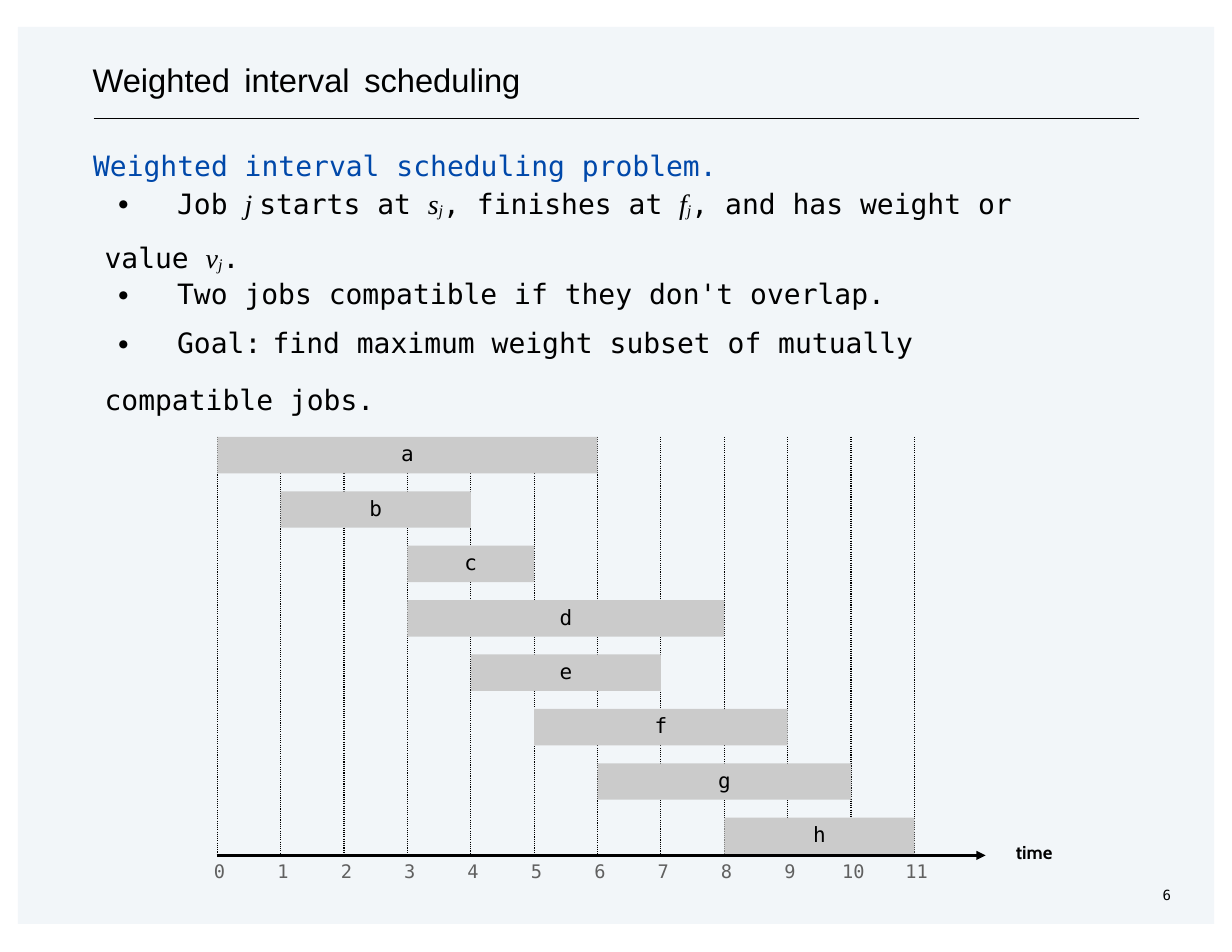
from pptx import Presentation
from pptx.dml.color import RGBColor
from pptx.enum.dml import MSO_LINE
from pptx.enum.shapes import MSO_CONNECTOR, MSO_SHAPE
from pptx.enum.text import MSO_ANCHOR, MSO_AUTO_SIZE, PP_ALIGN
from pptx.oxml.ns import qn
from pptx.util import Pt
from lxml import etree

RECT = MSO_SHAPE.RECTANGLE
LINE = MSO_CONNECTOR.STRAIGHT
DOTS = MSO_LINE.ROUND_DOT
TOP, MID = MSO_ANCHOR.TOP, MSO_ANCHOR.MIDDLE
LEFT, MITTE = PP_ALIGN.LEFT, PP_ALIGN.CENTER
FIXED = MSO_AUTO_SIZE.NONE

BLACK = RGBColor(0, 0, 0)
BLUE = RGBColor(0x00, 0x48, 0xAA)
NAVY = RGBColor(0x00, 0x54, 0x93)
GREY = RGBColor(0x60, 0x60, 0x60)
SILVER = RGBColor(0xCB, 0xCB, 0xCB)

MONO = "DejaVu Sans Mono"
SERIF = "Times New Roman"
SANS = "Arial"
CJK = "Noto Sans CJK JP"

# Time grid: unit width, row pitch and bar height
X0, Y0 = 139.7, 280.9
UNIT, PITCH, BAR = 40.74, 34.97, 23.4
LAST = 11
BASE = 549.9

# Job name: start and finish
JOBS = {"a": (0, 6), "b": (1, 4), "c": (3, 5), "d": (3, 8),
        "e": (4, 7), "f": (5, 9), "g": (6, 10), "h": (8, 11)}

# Title runs, with widened word gaps
TITLE = [("title", "Weighted"), ("gap", " "), ("title", "interval"),
         ("gap", " "), ("title", "scheduling")]

# Body paragraphs: line pitch, then runs as (style, text)
BODY = [
    (19.8, [("head", "Weighted interval scheduling problem.")]),
    (29.6, [("dot", "・"), ("text", "Job "), ("var", "j "),
            ("text", "starts at "), ("var", "s"), ("sub", "j"),
            ("text", ", finishes at "), ("var", "f"), ("sub", "j"),
            ("text", ", and has weight or value "),
            ("var", "v"), ("sub", "j"), ("text", ".")]),
    (28.6, [("low", "・"),
            ("text", "Two jobs compatible if they don't overlap.")]),
    (31.4, [("low", "・"),
            ("text", "Goal:\tfind maximum weight subset of "
                     "mutually compatible jobs.")]),
]

# Style: font, size, colour, italic, baseline in percent, tracking
STYLES = {
    "title": (SANS, 21, BLACK, False, 0, 0),
    "gap": (SANS, 21, BLACK, False, 0, 3.5),
    "head": (MONO, 18, BLUE, False, 0, 0),
    "text": (MONO, 18, BLACK, False, 0, 0),
    "var": (SERIF, 18, BLACK, True, 0, 0),
    "sub": (SERIF, 18, BLACK, True, -7, 0),
    "dot": (CJK, 42.8, BLACK, False, -7, 21.8),
    "low": (CJK, 42.8, BLACK, False, -9, 21.8),
}


def time_x(t):
    return X0 + UNIT * t


def row_y(row):
    return Y0 + PITCH * row


def set_font(font, name, size, color, bold=False):
    font.name, font.size, font.bold = name, Pt(size), bold
    font.color.rgb = color


def set_frame(frame, anchor=TOP):
    frame.margin_left = frame.margin_right = 0
    frame.margin_top = Pt(1) if anchor == TOP else 0
    frame.margin_bottom = 0 if anchor == TOP else Pt(2)
    frame.vertical_anchor = anchor
    frame.auto_size = FIXED
    frame.word_wrap = True


def add_label(slide, text, box, size, color, name=MONO, bold=False,
              align=LEFT):
    shape = slide.shapes.add_textbox(*map(Pt, box))
    set_frame(shape.text_frame)
    shape.text_frame.text = text
    para = shape.text_frame.paragraphs[0]
    para.alignment = align
    set_font(para.runs[0].font, name, size, color, bold)


def add_rect(slide, box, color):
    shape = slide.shapes.add_shape(RECT, *map(Pt, box))
    shape.shadow.inherit = False
    shape.fill.solid()
    shape.fill.fore_color.rgb = color
    shape.line.fill.background()
    return shape


def add_line(slide, x1, y1, x2, y2, width, dash=None):
    line = slide.shapes.add_connector(LINE, Pt(x1), Pt(y1), Pt(x2), Pt(y2))
    line.line.color.rgb = BLACK
    line.line.width = Pt(width)
    if dash:
        line.line.dash_style = dash
    etree.SubElement(line._element.spPr, qn("a:effectLst"))
    return line


def add_run(para, style, text):
    name, size, color, slant, shift, track = STYLES[style]
    run = para.add_run()
    run.text = text
    set_font(run.font, name, size, color)
    run.font.italic = slant
    props = run._r.get_or_add_rPr()
    if shift:
        props.set("baseline", str(shift * 1000))
    if track:
        props.set("spc", str(round(track * 100)))
    if name == CJK:
        etree.SubElement(props, qn("a:ea")).set("typeface", name)


def add_panel(slide):
    panel = add_rect(slide, (11.5, 17.3, 769, 576.7), NAVY)
    tint = panel._element.spPr.find(".//" + qn("a:srgbClr"))
    etree.SubElement(tint, qn("a:alpha")).set("val", "5000")
    slide.shapes._spTree.insert(2, panel._element)  # behind the title


def add_title(slide):
    title = slide.shapes.title
    title.left, title.top = Pt(59.5), Pt(37.5)
    title.width, title.height = Pt(403), Pt(27.5)
    set_frame(title.text_frame)
    para = title.text_frame.paragraphs[0]
    para.alignment = LEFT
    for style, text in TITLE:
        add_run(para, style, text)
    add_line(slide, 60.2, 76, 732.5, 76, 0.75)


def add_body(slide):
    shape = slide.shapes.add_textbox(Pt(55.5), Pt(96.1), Pt(614), Pt(111.6))
    frame = shape.text_frame
    set_frame(frame)
    for i, (pitch, runs) in enumerate(BODY):
        para = frame.add_paragraph() if i else frame.paragraphs[0]
        para.line_spacing = Pt(pitch)
        props = para._p.get_or_add_pPr()
        props.set("marL", str(Pt(11.7 if i else 4.3)))
        props.set("indent", "0")
        for style, text in runs:
            add_run(para, style, text)


def add_grid(slide):
    for t in range(LAST + 1):
        x, y = time_x(t), Y0
        # Break the line at each bar that spans it
        for row, (start, end) in enumerate(JOBS.values()):
            if start < t < end:
                if row_y(row) > y:
                    add_line(slide, x, y, x, row_y(row), 0.7, DOTS)
                y = row_y(row) + BAR
        if y < row_y(len(JOBS) - 1) + BAR:
            add_line(slide, x, y, x, BASE, 0.7, DOTS)
        add_label(slide, str(t), (x - 8.5, 551.5, 20, 16.5), 12, GREY,
                  align=MITTE)


def add_jobs(slide):
    for row, (job, (start, end)) in enumerate(JOBS.items()):
        box = (time_x(start), row_y(row), UNIT * (end - start), BAR)
        shape = add_rect(slide, box, SILVER)
        set_frame(shape.text_frame, MID)
        shape.text_frame.text = job
        para = shape.text_frame.paragraphs[0]
        para.alignment = MITTE
        set_font(para.runs[0].font, MONO, 13.5, BLACK)


def add_axis(slide):
    axis = add_line(slide, 139.2, BASE, 633.6, BASE, 1.5)
    tip = etree.SubElement(axis.line._get_or_add_ln(), qn("a:tailEnd"))
    for key, val in (("type", "triangle"), ("w", "med"), ("len", "med")):
        tip.set(key, val)
    add_label(slide, "time", (653, 539.5, 32, 16.5), 12, BLACK, "Cabin", True)


def main():
    prs = Presentation()
    prs.slide_width, prs.slide_height = Pt(792), Pt(612)
    slide = prs.slides.add_slide(prs.slide_layouts[5])

    # Backdrop, heading and text
    add_panel(slide)
    add_title(slide)
    add_body(slide)

    # Job chart over time
    add_grid(slide)
    add_jobs(slide)
    add_axis(slide)

    # Page number
    add_label(slide, "6", (747.5, 569, 9, 13), 9, BLACK)
    prs.save("out.pptx")


if __name__ == "__main__":
    main()
